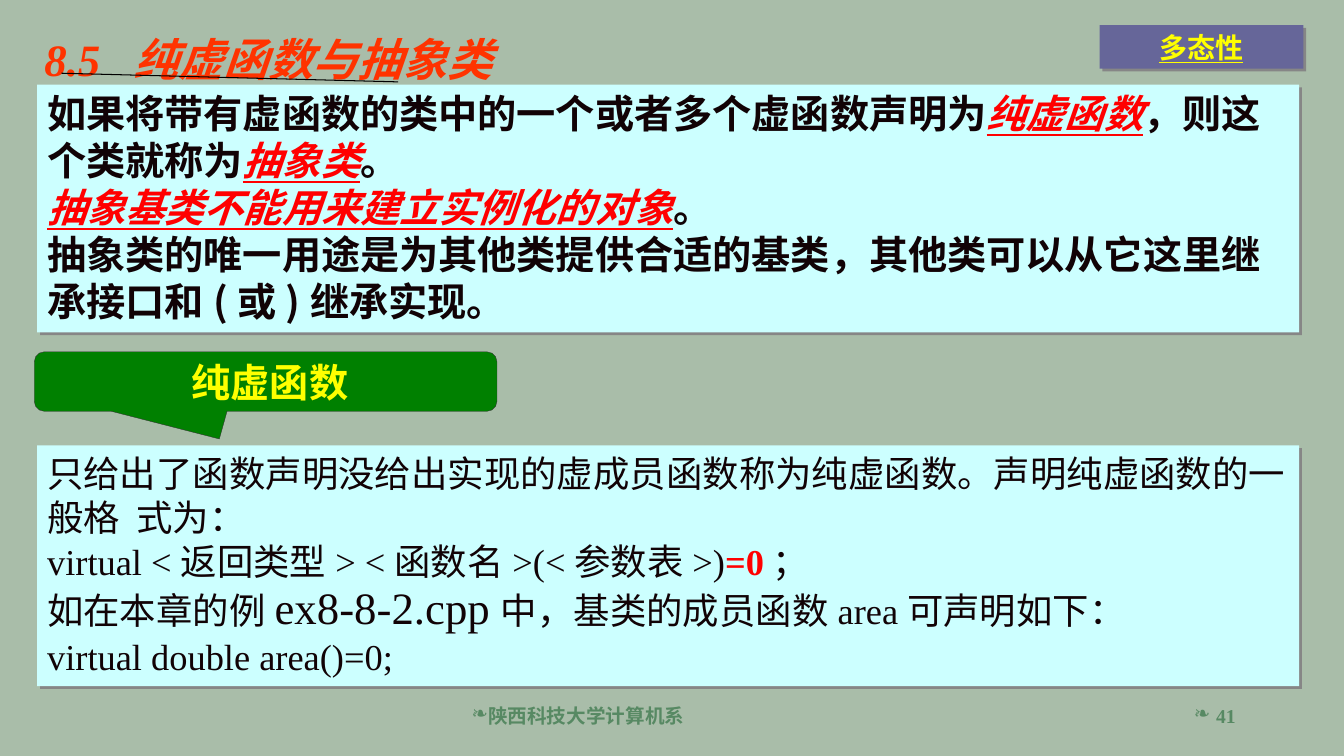
from pptx import Presentation
from pptx.dml.color import RGBColor
from pptx.enum.shapes import MSO_CONNECTOR as Connector, MSO_SHAPE as Shape
from pptx.enum.text import MSO_ANCHOR as Anchor, PP_ALIGN as Align
from pptx.oxml import parse_xml
from pptx.oxml.ns import nsdecls
from pptx.util import Pt

COLORS = {
    "sage": "A9BDA9", "ice": "CCFFFF", "ink": "110306", "red": "FF0000",
    "orange": "FF3300", "yellow": "FFFF00", "green": "008000", "slate": "666699",
    "shadow": "868686", "footer": "578963", "edge": "333333", "black": "000000",
}
LATIN, HAN = "Times New Roman", "Noto Sans CJK SC"
TERM = dict(color="red", italic=True, underline=True)


def rgb(name):
    return RGBColor.from_string(COLORS[name])


def add_span(para, text, size=26, color="ink", bold=False, italic=False,
             underline=False, face=LATIN):
    span = para.add_run()
    span.text = text
    font = span.font
    font.size, font.name = Pt(size), face
    font.bold, font.italic, font.underline = bold, italic, underline
    font.color.rgb = rgb(color)
    font._element.find("{*}latin").addnext(
        parse_xml(f'<a:ea {nsdecls("a")} typeface="{HAN}"/>'))


def write(box, paras, align=Align.LEFT, anchor=Anchor.TOP, spacing=None, **base):
    frame = box.text_frame
    frame.word_wrap = True
    frame.vertical_anchor = anchor
    frame.margin_left = frame.margin_right = Pt(7.2)
    frame.margin_top = frame.margin_bottom = Pt(3.6)
    for index, spans in enumerate(paras):
        para = frame.add_paragraph() if index else frame.paragraphs[0]
        para.alignment = align
        para.space_before = Pt(0)
        if spacing:
            para.line_spacing = Pt(spacing[index])
        for text, style in spans:
            add_span(para, text, **{**base, **style})
    return frame


def add_panel(page, kind, place, fill, edge=None):
    box = page.shapes.add_shape(kind, *map(Pt, place))
    box.shadow.inherit = False
    box.fill.solid()
    box.fill.fore_color.rgb = rgb(fill)
    if edge:
        box.line.color.rgb = rgb(edge)
        box.line.width = Pt(0.25)
    else:
        box.line.fill.background()
    return box


def add_shadow_panel(page, place, fill):
    box = add_panel(page, Shape.RECTANGLE, place, fill)
    box._element.spPr.find("{*}effectLst").append(parse_xml(
        f'<a:outerShdw {nsdecls("a")} dist="{Pt(2.8)}" dir="2700000" algn="ctr" '
        f'rotWithShape="0"><a:srgbClr val="{COLORS["shadow"]}"/></a:outerShdw>'))
    return box


def add_footer(page, text, place, indent, align):
    box = page.shapes.add_textbox(*map(Pt, place))
    frame = write(box, [[(text, {})]], align, Anchor.MIDDLE,
                  size=14, color="footer", bold=True)
    props = frame.paragraphs[0]._p.get_or_add_pPr()
    props.set("marL", str(Pt(indent)))
    props.set("indent", str(-Pt(indent)))
    props.append(parse_xml(f'<a:buChar {nsdecls("a")} char="❧"/>'))


def add_title(page, text):
    title = page.shapes.title
    title.left, title.top, title.width, title.height = map(Pt, (24.5, 3.6, 376, 61))
    write(title, [[(text, {})]], anchor=Anchor.BOTTOM,
          size=32, color="orange", bold=True, italic=True)


def add_rule(page, start, end):
    rule = page.shapes.add_connector(Connector.STRAIGHT, *map(Pt, start + end))
    rule.line.color.rgb = rgb("black")
    rule.line.width = Pt(0.75)
    rule._element.spPr.append(parse_xml(f'<a:effectLst {nsdecls("a")}/>'))


def add_callout(page, text):
    box = add_panel(page, Shape.ROUNDED_RECTANGULAR_CALLOUT,
                    (24.5, 251.3, 330.5, 42.5), "green", "edge")
    for index, value in enumerate((-0.1, 0.965, 0.167)):
        box.adjustments[index] = value
    frame = write(box, [[(text, {})]], Align.CENTER, Anchor.MIDDLE,
                  size=28, color="yellow", bold=True)
    frame.margin_left = Pt(13.2)


def main():
    deck = Presentation()
    deck.slide_width, deck.slide_height = Pt(960), Pt(540)
    page = deck.slides.add_slide(deck.slide_layouts[5])
    page.background.fill.solid()
    page.background.fill.fore_color.rgb = rgb("sage")

    add_footer(page, "陕西科技大学计算机系", (329.8, 496.8, 303.8, 28.8), 11.5, Align.LEFT)
    add_footer(page, "41", (689.8, 496.8, 200, 28.8), 16, Align.RIGHT)

    abstract_class = add_shadow_panel(page, (26.6, 60.5, 901.4, 177), "ice")
    write(abstract_class, [
        [("如果将带有虚函数的类中的一个或者多个虚函数声明为", {}), ("纯虚函数", TERM),
         ("，则这个类就称为", {}), ("抽象类", TERM), ("。", {})],
        [("抽象基类不能用来建立实例化的对象", TERM), ("。", {})],
        [("抽象类的唯一用途是为其他类提供合适的基类，其他类可以从它这里继承接口和(或)继承实现。", {})],
    ], spacing=[33.6] * 3, size=28, bold=True, face=HAN)

    pure_virtual = add_shadow_panel(page, (26.6, 318.2, 901.4, 172), "ice")
    write(pure_virtual, [
        [("只给出了函数声明没给出实现的虚成员函数称为纯虚函数。声明纯虚函数的一般格  式为：", {})],
        [("virtual <返回类型> <函数名>(<参数表>)", {}),
         ("=0", dict(color="red", bold=True)), ("；", {})],
        [("如在本章的例", {}), ("ex8-8-2.cpp", dict(size=32)),
         ("中，基类的成员函数area可声明如下：", {})],
        [("virtual double area()=0;", {})],
    ], spacing=[31.4, 31.4, 36.8, 31.4])

    add_title(page, "8.5  纯虚函数与抽象类")
    add_rule(page, (43.9, 52.3), (284.4, 58.5))
    add_callout(page, "纯虚函数")
    topic = add_shadow_panel(page, (785.5, 18, 145.5, 31), "slate")
    write(topic, [[("多态性", {})]], Align.CENTER, Anchor.MIDDLE,
          size=20, color="yellow", bold=True, underline=True)
    deck.save("out.pptx")


if __name__ == "__main__":
    main()
